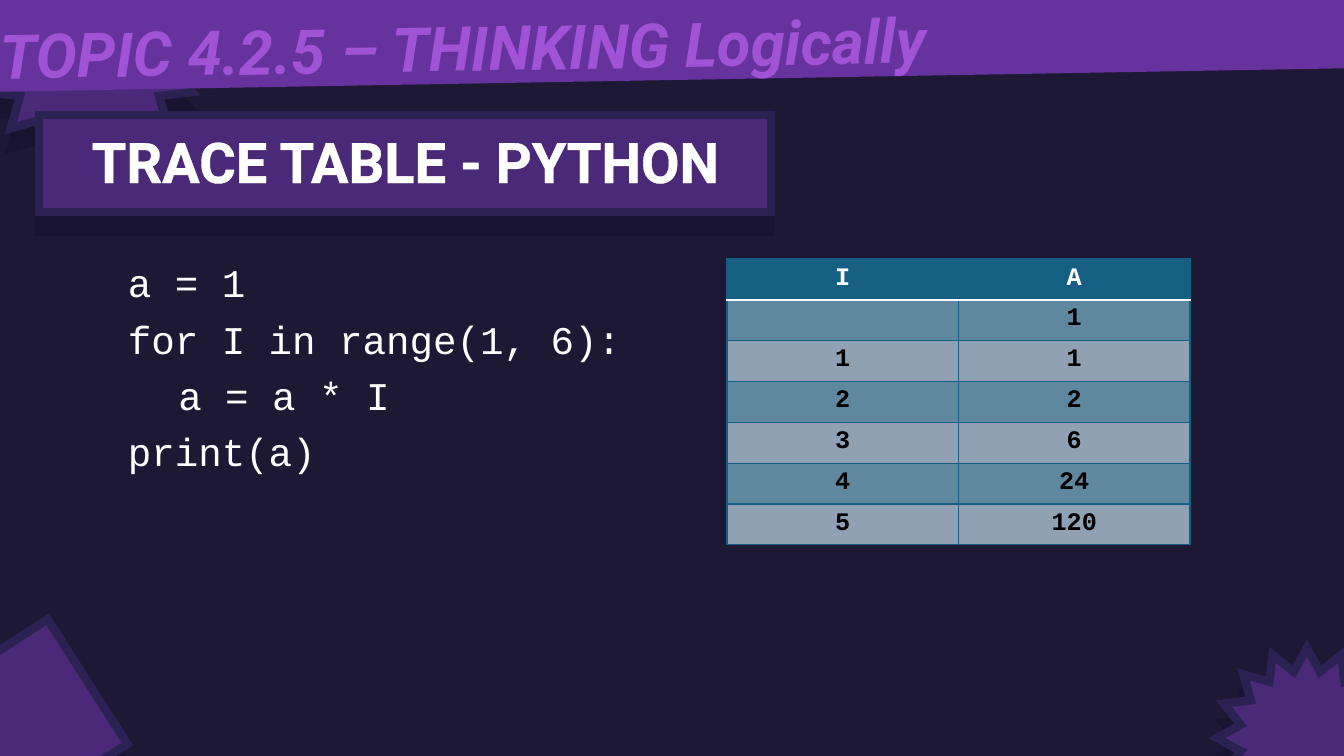
import dataclasses

import pptx
import pptx.dml.color
import pptx.enum.shapes
import pptx.enum.text
import pptx.oxml
import pptx.oxml.ns
import pptx.util

EMU_PER_PX = 12192000 / 1344
SHAPE = pptx.enum.shapes.MSO_SHAPE
ALIGN = pptx.enum.text.PP_ALIGN
ANCHOR = pptx.enum.text.MSO_ANCHOR
NAMESPACE = pptx.oxml.ns.nsdecls("a")


@dataclasses.dataclass(frozen=True)
class Theme:
    background: str = "1D1834"
    panel: str = "4B2979"
    panel_line: str = "2B2153"
    shadow: str = "18132F"
    band: str = "65329E"
    topic: str = "A053D5"
    white: str = "FFFFFF"
    black: str = "000000"
    table: str = "156082"
    dark_row: str = "5F889E"
    light_row: str = "91A1B4"
    heading_font: str = "Roboto"
    code_font: str = "Courier New"
    topic_size: int = 44
    title_size: int = 40
    code_size: int = 28
    cell_size: int = 18
    panel_line_width: int = 6
    shadow_distance: int = 14


THEME = Theme()

CODE = ["a = 1", "for I in range(1, 6):", "\ta = a * I", "print(a)"]
TRACE = [
    ("I", "A"),
    ("", "1"),
    ("1", "1"),
    ("2", "2"),
    ("3", "6"),
    ("4", "24"),
    ("5", "120"),
]


def px(length):
    return pptx.util.Emu(round(length * EMU_PER_PX))


def rgb(color):
    return pptx.dml.color.RGBColor.from_string(color)


def solid(color):
    return f'<a:solidFill><a:srgbClr val="{color}"/></a:solidFill>'


def style_font(font, name, size, color, bold=False, italic=False):
    font.name = name
    font.size = pptx.util.Pt(size)
    font.color.rgb = rgb(color)
    font.bold = bold
    font.italic = italic


def outline_text(run, color):
    width = pptx.util.Pt(1.5)
    run.font._element.insert(0, pptx.oxml.parse_xml(
        f'<a:ln {NAMESPACE} w="{width}">{solid(color)}</a:ln>'))


def add_panel(slide, box, kind, rotation=0):
    """Add a purple shape with a thick mitred edge and a hard shadow below."""
    shape = slide.shapes.add_shape(kind, *map(px, box))
    shape.rotation = rotation
    shape.fill.solid()
    shape.fill.fore_color.rgb = rgb(THEME.panel)
    shape.line.color.rgb = rgb(THEME.panel_line)
    shape.line.width = pptx.util.Pt(THEME.panel_line_width)
    shape.line._get_or_add_ln().append(
        pptx.oxml.parse_xml(f'<a:miter {NAMESPACE} lim="800000"/>'))
    distance = pptx.util.Pt(THEME.shadow_distance)
    shape._element.spPr.append(pptx.oxml.parse_xml(
        f'<a:effectLst {NAMESPACE}><a:outerShdw blurRad="0" dist="{distance}" '
        f'dir="5400000" algn="t" rotWithShape="0">'
        f'<a:srgbClr val="{THEME.shadow}"/></a:outerShdw></a:effectLst>'))


def add_topic_band(slide, box):
    left, top, width, height = box
    tilt = 359
    band = slide.shapes.add_shape(SHAPE.RECTANGLE, *map(px, box))
    band.shadow.inherit = False
    band.rotation = tilt
    band.fill.solid()
    band.fill.fore_color.rgb = rgb(THEME.band)
    band.line.fill.background()

    topic = slide.shapes.add_textbox(
        px(left + 12), px(top + 68), px(width + 203), px(85))
    topic.rotation = tilt
    topic.text_frame.word_wrap = True
    paragraph = topic.text_frame.paragraphs[0]
    paragraph.text = "TOPIC 4.2.5 – THINKING Logically"
    run = paragraph.runs[0]
    style_font(run.font, THEME.heading_font, THEME.topic_size, THEME.topic,
               bold=True, italic=True)
    outline_text(run, THEME.topic)


def add_title(slide, box):
    left, top, width, height = box
    add_panel(slide, box, SHAPE.RECTANGLE)
    title = slide.shapes.title
    slide.shapes._spTree.append(title._element)  # bring in front of its panel
    title.left, title.top = px(left + 8), px(top + 7)
    title.width, title.height = px(width - 15), px(78)
    frame = title.text_frame
    frame.text = "TRACE TABLE - PYTHON"
    frame.word_wrap = True
    frame.auto_size = pptx.enum.text.MSO_AUTO_SIZE.NONE
    frame.vertical_anchor = ANCHOR.TOP
    paragraph = frame.paragraphs[0]
    paragraph.alignment = ALIGN.CENTER
    run = paragraph.runs[0]
    style_font(run.font, THEME.heading_font, THEME.title_size, THEME.white,
               bold=True)
    outline_text(run, THEME.white)


def add_code(slide, box):
    frame = slide.shapes.add_textbox(*map(px, box)).text_frame
    frame.word_wrap = True
    for index, line in enumerate(CODE):
        paragraph = frame.add_paragraph() if index else frame.paragraphs[0]
        paragraph.text = line
        paragraph.line_spacing = 0.9
        paragraph.space_before = pptx.util.Pt(10 if index else 0)
        style_font(paragraph.runs[0].font, THEME.code_font, THEME.code_size,
                   THEME.white)


def set_borders(cell, row_index):
    header_rule = (THEME.white, 1.5)
    grid_rule = (THEME.table, 1)
    rules = {
        "lnL": grid_rule,
        "lnR": grid_rule,
        "lnT": header_rule if row_index == 1 else grid_rule,
        "lnB": header_rule if row_index == 0 else grid_rule,
    }
    properties = cell._tc.get_or_add_tcPr()
    for position, (side, (color, width)) in enumerate(rules.items()):
        properties.insert(position, pptx.oxml.parse_xml(
            f'<a:{side} {NAMESPACE} w="{pptx.util.Pt(width)}">'
            f'{solid(color)}</a:{side}>'))


def add_trace_table(slide, box):
    left, top, width, height = box
    table = slide.shapes.add_table(
        len(TRACE), len(TRACE[0]), *map(px, box)).table
    for column in table.columns:
        column.width = px(width / len(TRACE[0]))
    for row_index, values in enumerate(TRACE):
        table.rows[row_index].height = px(height / len(TRACE))
        if row_index == 0:
            fill, text_color = THEME.table, THEME.white
        else:
            fill = THEME.dark_row if row_index % 2 else THEME.light_row
            text_color = THEME.black
        for column_index, value in enumerate(values):
            cell = table.cell(row_index, column_index)
            cell.fill.solid()
            cell.fill.fore_color.rgb = rgb(fill)
            set_borders(cell, row_index)
            paragraph = cell.text_frame.paragraphs[0]
            paragraph.text = value
            paragraph.alignment = ALIGN.CENTER
            for font in [paragraph.font] + [run.font for run in paragraph.runs]:
                style_font(font, THEME.code_font, THEME.cell_size, text_color,
                           bold=True)


def main():
    presentation = pptx.Presentation()
    presentation.slide_width, presentation.slide_height = px(1344), px(756)
    slide = presentation.slides.add_slide(presentation.slide_layouts[5])
    slide.background.fill.solid()
    slide.background.fill.fore_color.rgb = rgb(THEME.background)

    add_panel(slide, (-22, -62, 223, 223), SHAPE.STAR_16_POINT)
    add_code(slide, (118, 259, 554, 435))
    add_topic_band(slide, (-22, -69, 1397, 149))
    add_title(slide, (39, 115, 732, 97))
    add_panel(slide, (-57, 650, 157, 148), SHAPE.RECTANGLE, rotation=327.4)
    add_panel(slide, (1217, 648, 180, 180), SHAPE.STAR_16_POINT)
    add_trace_table(slide, (727, 259, 463, 286))
    presentation.save("out.pptx")


if __name__ == "__main__":
    main()
